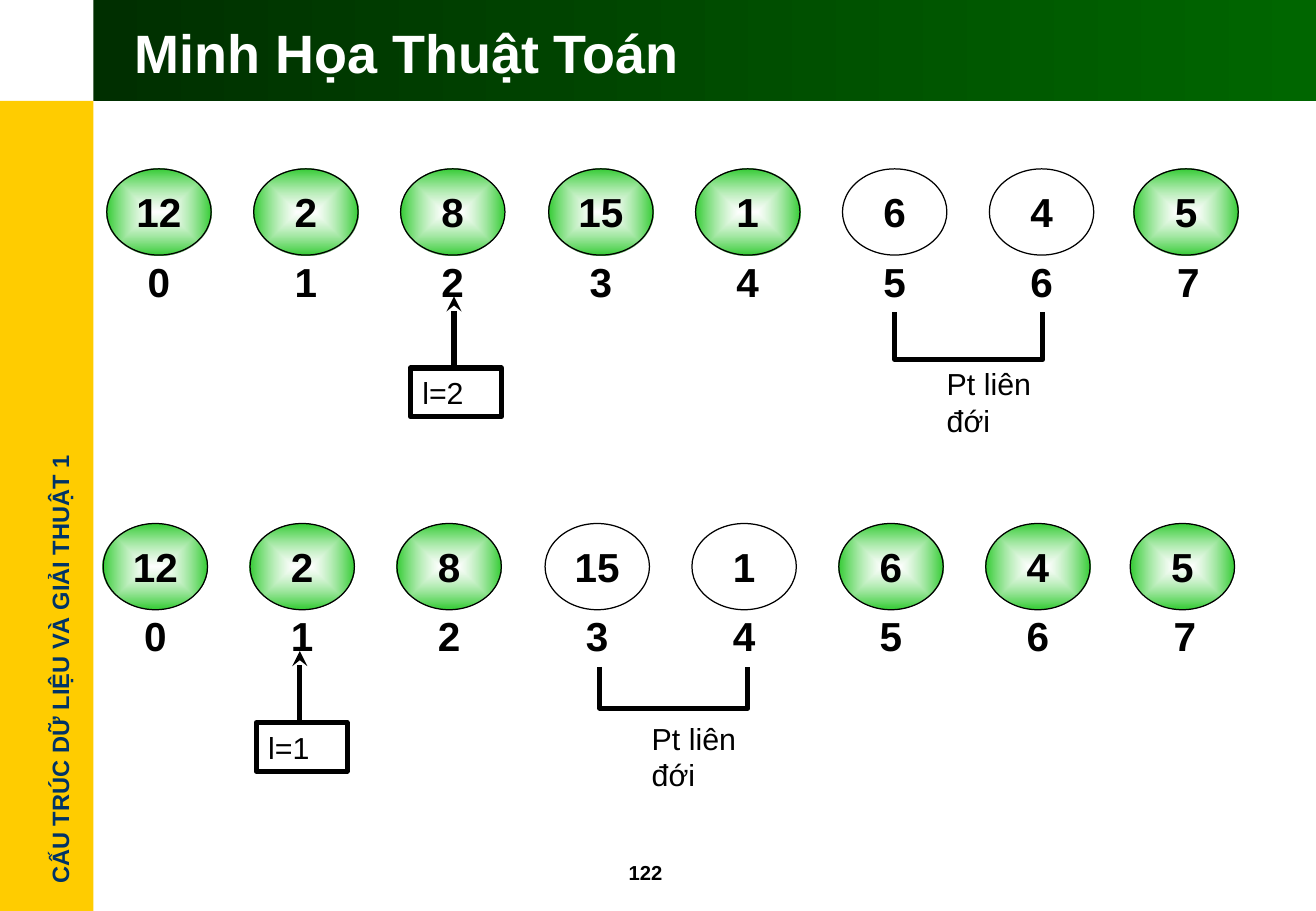
from pptx import Presentation
from pptx.dml.color import RGBColor
from pptx.enum.shapes import MSO_CONNECTOR, MSO_SHAPE
from pptx.enum.text import MSO_ANCHOR, MSO_AUTO_SIZE, PP_ALIGN
from pptx.oxml import parse_xml
from pptx.oxml.ns import nsdecls, qn
from pptx.util import Pt

RECTANGLE = MSO_SHAPE.RECTANGLE
OVAL = MSO_SHAPE.OVAL
STRAIGHT = MSO_CONNECTOR.STRAIGHT
LEFT, CENTER = PP_ALIGN.LEFT, PP_ALIGN.CENTER
TOP, MIDDLE = MSO_ANCHOR.TOP, MSO_ANCHOR.MIDDLE
NO_RESIZE = MSO_AUTO_SIZE.NONE

PX = 9144
PAGE_WIDTH, PAGE_HEIGHT = 1084, 750
COLORS = {
    "black": "000000",
    "white": "FFFFFF",
    "navy": "003366",
    "yellow": "FFCC00",
    "dark green": "002F00",
    "green": "006600",
    "light green": "33CC33",
}
FORMATS = {
    "title": {"size": Pt(32), "bold": True},
    "number": {"size": Pt(24), "bold": True},
    "note": {"size": Pt(18), "bold": False},
    "course": {"size": Pt(14), "bold": True},
    "page": {"size": Pt(12), "bold": True},
}
VALUES = (12, 2, 8, 15, 1, 6, 4, 5)
COLUMN_STEP = 121.2
LAST_VALUE_SHIFT = -2
OVAL_WIDTH, OVAL_HEIGHT = 86, 71
INDEX_DROP = 57
STEPS = (
    {"left": 88, "top": 139, "pair": (5, 6), "bracket_left": 737, "depth": 39,
     "pointer": "l=2", "pointer_left": 338},
    {"left": 85, "top": 431, "pair": (3, 4), "bracket_left": 494, "depth": 34,
     "pointer": "l=1", "pointer_left": 211},
)


class SlideBuilder:
    def __init__(self, page):
        self.page = page
        self.font = "Arial"

    def color(self, name):
        return RGBColor.from_string(COLORS[name])

    def set_text(self, shape, text, style, color="black", align=LEFT,
                 anchor=TOP, wrap=True):
        frame = shape.text_frame
        settings = {"word_wrap": wrap, "auto_size": NO_RESIZE,
                    "vertical_anchor": anchor}
        for name, value in settings.items():
            setattr(frame, name, value)
        para = frame.paragraphs[0]
        para.alignment = align
        span = para.add_run()
        span.text = text
        span.font.name = self.font
        span.font.color.rgb = self.color(color)
        for name, value in FORMATS[style].items():
            setattr(span.font, name, value)

    def text(self, left, top, width, height, text, style, rotation=0, **options):
        box = self.page.shapes.add_textbox(
            left * PX, top * PX, width * PX, height * PX)
        box.rotation = rotation
        self.set_text(box, text, style, **options)

    def outline(self, shape, weight):
        shape.line.color.rgb = self.color("black")
        shape.line.width = Pt(weight)

    def shape(self, kind, left, top, width, height, fill=None, weight=0):
        shape = self.page.shapes.add_shape(
            kind, left * PX, top * PX, width * PX, height * PX)
        shape.shadow.inherit = False
        if fill:
            shape.fill.solid()
            shape.fill.fore_color.rgb = self.color(fill)
        else:
            shape.fill.background()
        if weight:
            self.outline(shape, weight)
        else:
            shape.line.fill.background()
        return shape

    def gradient(self, shape, start, end):
        shape.fill.gradient()
        shape.fill.gradient_angle = 0
        for stop, name in zip(shape.fill.gradient_stops, (start, end)):
            stop.color.rgb = self.color(name)

    def glow(self, shape):
        self.gradient(shape, "white", "light green")
        properties = shape.element.spPr
        linear = properties.find(".//" + qn("a:lin"))
        linear.getparent().replace(linear, parse_xml(
            f'<a:path {nsdecls("a")} path="rect"><a:fillToRect '
            'l="50000" t="50000" r="50000" b="50000"/></a:path>'))
        properties.find(".//" + qn("a:srgbClr")).append(
            parse_xml(f'<a:alpha {nsdecls("a")} val="60000"/>'))

    def arrow(self, x, start, end):
        line = self.page.shapes.add_connector(
            STRAIGHT, x * PX, start * PX, x * PX, end * PX)
        self.outline(line, 3)
        properties = line.element.spPr
        properties.find(qn("a:ln")).append(
            parse_xml(f'<a:tailEnd {nsdecls("a")} type="stealth"/>'))
        properties.append(parse_xml(f'<a:effectLst {nsdecls("a")}/>'))

    def bracket(self, left, top, width, depth):
        outline = self.page.shapes.build_freeform(left, top, scale=PX)
        outline.add_line_segments(
            [(left, top + depth), (left + width, top + depth),
             (left + width, top)], close=False)
        shape = outline.convert_to_shape()
        shape.shadow.inherit = False
        shape.fill.background()
        self.outline(shape, 3)

    def step(self, left, top, pair, bracket_left, depth, pointer, pointer_left):
        last = len(VALUES) - 1
        for index, value in enumerate(VALUES):
            x = round(left + COLUMN_STEP * index)
            shift = LAST_VALUE_SHIFT if index == last else 0
            oval = self.shape(OVAL, x + shift, top, OVAL_WIDTH, OVAL_HEIGHT,
                              "white", 0.75)
            if index not in pair:
                self.glow(oval)
            self.set_text(oval, str(value), "number", align=CENTER)
            label = self.shape(OVAL, x, top + INDEX_DROP, OVAL_WIDTH, OVAL_HEIGHT)
            self.set_text(label, str(index), "number", align=CENTER)
        box = self.shape(RECTANGLE, pointer_left, top + 164, 75, 40, weight=3)
        self.set_text(box, pointer, "note")
        self.arrow(pointer_left + 36, top + 164, top + 105)
        self.text(bracket_left + 33, top + 157, 92, 70, "Pt liên đới", "note")
        self.bracket(bracket_left, top + 118, 122, depth)


def main():
    deck = Presentation()
    deck.slide_width = PAGE_WIDTH * PX
    deck.slide_height = PAGE_HEIGHT * PX
    builder = SlideBuilder(deck.slides.add_slide(deck.slide_layouts[6]))
    builder.shape(RECTANGLE, 0, 83, 77, 667, "yellow")
    builder.text(-137, 534, 373, 34, "CẤU TRÚC DỮ LIỆU VÀ GIẢI THUẬT 1",
                 "course", rotation=270, color="navy", wrap=False)
    banner = builder.shape(RECTANGLE, 77, 0, 1007, 83)
    builder.gradient(banner, "dark green", "green")
    builder.text(508, 703, 83, 30, "122", "page")
    builder.text(101, 9, 961, 67, "Minh Họa Thuật Toán", "title",
                 color="white", anchor=MIDDLE)
    for step in STEPS:
        builder.step(**step)
    deck.save("out.pptx")


if __name__ == "__main__":
    main()
